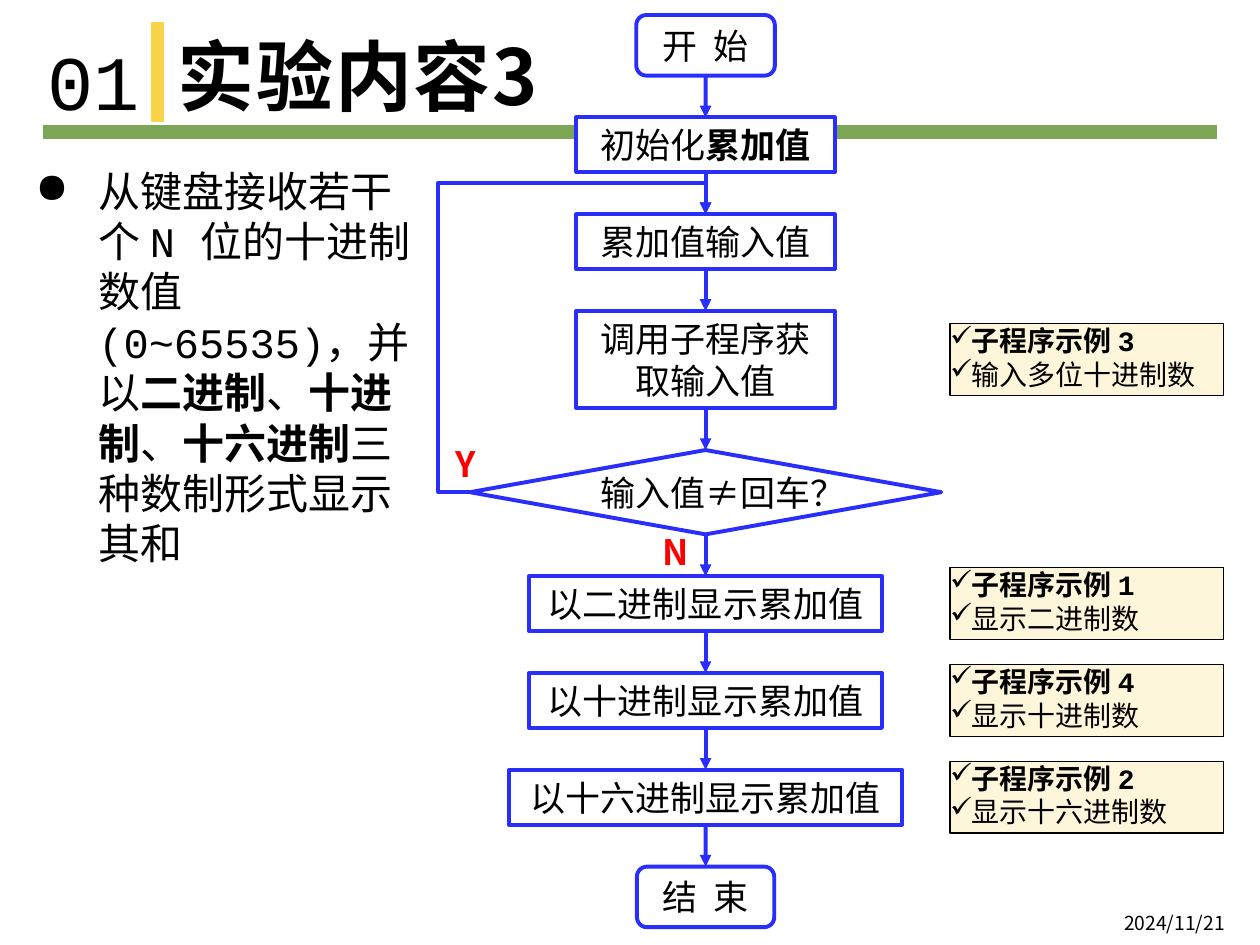
"""Build a flowchart slide for the accumulate-and-display experiment."""
from pptx import Presentation
from pptx.dml.color import RGBColor
from pptx.enum.shapes import MSO_CONNECTOR as CONN, MSO_SHAPE as SHAPE
from pptx.enum.text import MSO_ANCHOR as ANCHOR, PP_ALIGN as ALIGN
from pptx.oxml.ns import qn
from pptx.util import Pt
from lxml.etree import SubElement

BLACK = RGBColor(0x00, 0x00, 0x00)
WHITE = RGBColor(0xFF, 0xFF, 0xFF)
RED = RGBColor(0xFF, 0x00, 0x00)
BLUE = RGBColor(0x2A, 0x2E, 0xFC)
GREEN = RGBColor(0x7C, 0xA6, 0x55)
YELLOW = RGBColor(0xF9, 0xD4, 0x48)
CREAM = RGBColor(0xFE, 0xF6, 0xDA)
SANS = "Noto Sans CJK SC"
MONO = "Courier New"


def write(sp, text, size=20, font=SANS, color=BLACK, align=ALIGN.LEFT, anchor=ANCHOR.TOP,
          wrap=True, inset=None, bullet=None, indent=(0, 0), before=0, line=None, spc=None):
    """Fill a shape with text; asterisks switch bold on and off."""
    tf = sp.text_frame
    tf.word_wrap = wrap
    tf.vertical_anchor = anchor
    if inset is not None:
        tf.margin_left = tf.margin_top = tf.margin_right = tf.margin_bottom = Pt(inset)
    for i, part in enumerate(text.split("\n")):
        p = tf.add_paragraph() if i else tf.paragraphs[0]
        p.alignment = align
        p.space_before = Pt(before)
        if line:
            p.line_spacing = line
        if bullet:
            pPr = p._p.get_or_add_pPr()
            pPr.set("marL", str(Pt(indent[0])))
            pPr.set("indent", str(Pt(indent[1])))
            SubElement(pPr, qn("a:buChar")).set("char", bullet)
        for j, piece in enumerate(part.split("*")):
            if not piece:
                continue
            r = p.add_run()
            r.text = piece
            r.font.size = Pt(size)
            r.font.name = font
            r.font.bold = j % 2 == 1
            r.font.color.rgb = color
            rPr = r._r.get_or_add_rPr()
            SubElement(rPr, qn("a:ea")).set("typeface", SANS)
            if spc:
                rPr.set("spc", str(spc))


def connect(kind, x1, y1, x2, y2, color, width, arrow=False):
    """Add a shadowless connector, with an arrowhead if asked."""
    c = s.shapes.add_connector(kind, Pt(x1), Pt(y1), Pt(x2), Pt(y2))
    c.line.color.rgb = color
    c.line.width = Pt(width)
    if arrow:
        SubElement(c.line._get_or_add_ln(), qn("a:tailEnd")).set("type", "triangle")
    SubElement(c._element.spPr, qn("a:effectLst"))
    return c


prs = Presentation()
prs.slide_width, prs.slide_height = Pt(720), Pt(540)
s = prs.slides.add_slide(prs.slide_layouts[6])

connect(CONN.STRAIGHT, 24.5, 75.6, 695.5, 75.6, GREEN, 8)
connect(CONN.STRAIGHT, 90, 12.4, 90, 69.8, YELLOW, 8)

labels = [
    ("2024/11/21", 642.3, 520.5, 77.7, 19.5, dict(size=11, inset=0)),
    ("*实验内容3*", 101.5, 21.6, 609, 48.2,
     dict(size=44, anchor=ANCHOR.BOTTOM, inset=0, line=0.9, spc=100)),
    ("01", 20.2, 15.8, 69, 60.5, dict(size=44, font=MONO)),
    ("从键盘接收若干个 N 位的十进制数值(0~65535)，并以*二进制*、*十进制*、*十六进制*三种数制形式显示其和",
     20.2, 94.3, 219.6, 391.7,
     dict(size=24, font=MONO, inset=0, bullet="●", indent=(36, -36), before=10)),
    ("*Y*", 253.4, 249.1, 27.4, 31.5, dict(color=RED, wrap=False)),
    ("*N*", 371.5, 299.5, 31.7, 31.5, dict(color=RED, wrap=False)),
]
for text, x, y, w, h, fmt in labels:
    write(s.shapes.add_textbox(Pt(x), Pt(y), Pt(w), Pt(h)), text, **fmt)

ROUND, RECT, DIAMOND = SHAPE.FLOWCHART_ALTERNATE_PROCESS, SHAPE.RECTANGLE, SHAPE.FLOWCHART_DECISION
steps = [
    ("开  始", ROUND, 79.2, 34.6, SANS, WHITE, None),
    ("初始化*累加值*", RECT, 147.6, 31.4, MONO, WHITE, None),
    ("累加值输入值", RECT, 147.6, 31.4, MONO, None, None),
    ("调用子程序获取输入值", RECT, 147.6, 55.6, MONO, None, "*子程序示例 3*\n输入多位十进制数"),
    ("输入值≠回车？", DIAMOND, 269.3, 48.2, SANS, None, None),
    ("以二进制显示累加值", RECT, 201.6, 31.4, MONO, None, "*子程序示例 1*\n显示二进制数"),
    ("以十进制显示累加值", RECT, 201.6, 31.4, MONO, None, "*子程序示例 4*\n显示十进制数"),
    ("以十六进制显示累加值", RECT, 224.6, 31.4, MONO, None, "*子程序示例 2*\n显示十六进制数"),
    ("结  束", ROUND, 78.5, 34.6, SANS, None, None),
]
CENTER, GAP, NOTE_H = 403.2, 23.9, 41
y = 8.6
boxes = []
for text, kind, w, h, font, fill, note in steps:
    sp = s.shapes.add_shape(kind, Pt(CENTER - w / 2), Pt(y), Pt(w), Pt(h))
    sp.shadow.inherit = False
    if fill is None:
        sp.fill.background()
    else:
        sp.fill.solid()
        sp.fill.fore_color.rgb = fill
    sp.line.color.rgb = BLUE
    sp.line.width = Pt(2.25)
    write(sp, text, font=font, align=ALIGN.CENTER, anchor=ANCHOR.MIDDLE)
    if boxes:
        c = connect(CONN.STRAIGHT, CENTER, y - GAP, CENTER, y, BLUE, 2.25, arrow=True)
        c.begin_connect(boxes[-1], 2)
        c.end_connect(sp, 0)
    boxes.append(sp)
    if note:
        sp = s.shapes.add_shape(RECT, Pt(542.9), Pt(y + (h - NOTE_H) / 2), Pt(156.2), Pt(NOTE_H))
        sp.shadow.inherit = False
        sp.fill.solid()
        sp.fill.fore_color.rgb = CREAM
        sp.line.color.rgb = BLACK
        sp.line.width = Pt(0.75)
        write(sp, note, size=16, font=MONO, inset=0, bullet="✓", indent=(11.5, -22.3))
    y += h + GAP

target, decision = boxes[2], boxes[4]
loop = connect(CONN.ELBOW, decision.left.pt, (decision.top + decision.height / 2) / Pt(1),
               CENTER, target.top.pt, BLUE, 2.25, arrow=True)
loop.begin_connect(decision, 1)
loop.end_connect(target, 0)
geom = loop._element.spPr.find(qn("a:prstGeom"))
geom.set("prst", "bentConnector4")
guides = geom.find(qn("a:avLst"))
for name, value in (("adj1", -13400), ("adj2", 111300)):
    gd = SubElement(guides, qn("a:gd"))
    gd.set("name", name)
    gd.set("fmla", f"val {value}")

prs.save("out.pptx")
